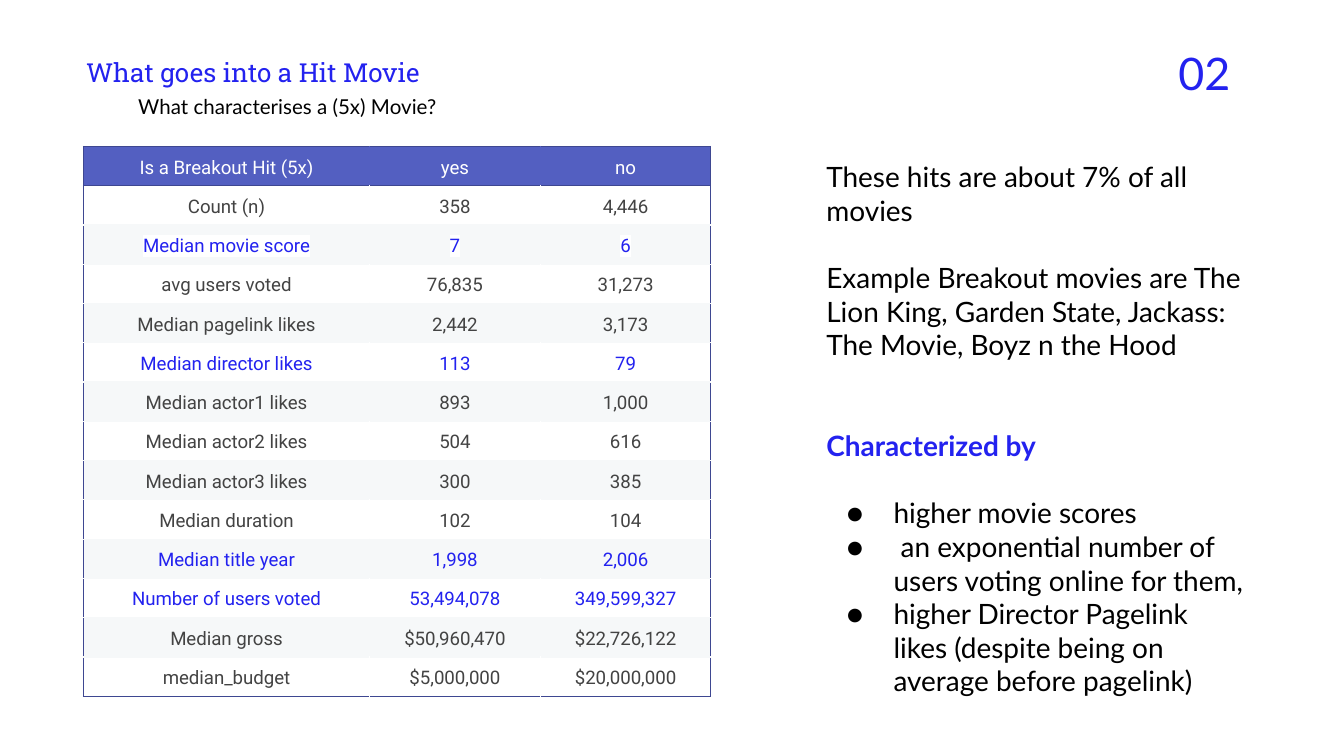
from dataclasses import dataclass

from lxml.etree import SubElement
from pptx import Presentation
from pptx.dml.color import RGBColor
from pptx.enum.text import MSO_ANCHOR, MSO_AUTO_SIZE, PP_ALIGN
from pptx.oxml.ns import qn
from pptx.util import Inches, Pt


@dataclass(frozen=True)
class Theme:
    blue: str = "2322EF"
    black: str = "000000"
    gray: str = "434343"
    white: str = "FFFFFF"
    stripe: str = "F6F8F9"
    head: str = "535FC1"
    edge: str = "3E4791"
    sans: str = "Lato"
    slab: str = "Roboto Slab"
    grid: str = "Roboto"
    cell_pt: int = 10
    sub_pt: int = 11
    title_pt: int = 14
    body_pt: int = 15
    num_pt: int = 24
    line_pt: float = 0.75


@dataclass(frozen=True)
class Row:
    label: str
    yes: str
    no: str
    key: bool = False
    mark: bool = False


@dataclass(frozen=True)
class Para:
    text: str
    gap: int = 0
    head: bool = False
    bullet: bool = False


T = Theme()

ROWS = [
    Row("Is a Breakout Hit (5x)", "yes", "no"),
    Row("Count (n)", "358", "4,446"),
    Row("Median movie score", "7", "6", key=True, mark=True),
    Row("avg users voted", "76,835", "31,273"),
    Row("Median pagelink likes", "2,442", "3,173"),
    Row("Median director likes", "113", "79", key=True),
    Row("Median actor1 likes", "893", "1,000"),
    Row("Median actor2 likes", "504", "616"),
    Row("Median actor3 likes", "300", "385"),
    Row("Median duration", "102", "104"),
    Row("Median title year", "1,998", "2,006", key=True),
    Row("Number of users voted", "53,494,078", "349,599,327", key=True),
    Row("Median gross", "$50,960,470", "$22,726,122"),
    Row("median_budget", "$5,000,000", "$20,000,000"),
]

NOTES = [
    Para("These hits are about 7% of all movies"),
    Para("Example Breakout movies are The Lion King, Garden State, Jackass: "
         "The Movie, Boyz n the Hood", gap=18),
    Para("Characterized by", gap=36, head=True),
    Para("higher movie scores", gap=18, bullet=True),
    Para(" an exponential number of users voting online for them,", bullet=True),
    Para("higher Director Pagelink likes (despite being on average before pagelink)",
         bullet=True),
]


def style(para, name: str, size: int, color: str, bold: bool = False) -> None:
    font = para.font
    font.name, font.size, font.bold = name, Pt(size), bold
    font.color.rgb = RGBColor.from_string(color)


def setup(shape):
    """Give a text shape even insets, wrapping and a top anchor."""
    frame = shape.text_frame
    frame.word_wrap = True
    frame.auto_size = MSO_AUTO_SIZE.NONE
    frame.vertical_anchor = MSO_ANCHOR.TOP
    frame.margin_left = frame.margin_right = Inches(0.1)
    frame.margin_top = frame.margin_bottom = Inches(0.1)
    return frame


def add_box(slide, x: float, y: float, w: float, h: float):
    return setup(slide.shapes.add_textbox(Inches(x), Inches(y), Inches(w), Inches(h)))


def add_label(slide, box: tuple, text: str, size: int, color: str) -> None:
    frame = add_box(slide, *box)
    frame.text = text
    style(frame.paragraphs[0], T.sans, size, color)


def add_title(slide, text: str) -> None:
    title = slide.shapes.title
    title.left, title.top = Inches(0.54), Inches(0.32)
    title.width, title.height = Inches(3.93), Inches(0.37)
    frame = setup(title)
    frame.text = text
    para = frame.paragraphs[0]
    para.alignment = PP_ALIGN.LEFT
    style(para, T.slab, T.title_pt, T.blue)


def add_color(parent, tag: str, color: str) -> None:
    SubElement(SubElement(parent, qn(tag)), qn("a:srgbClr"), val=color)


def set_edges(cell, **edges: str) -> None:
    """Draw cell borders; edges must come in the order L, R, T, B."""
    props = cell._tc.get_or_add_tcPr()
    for side, color in edges.items():
        line = SubElement(props, qn(f"a:ln{side}"), w=str(Pt(T.line_pt)))
        add_color(line, "a:solidFill", color)


def fill_cell(cell, text: str, row: Row, r: int, c: int) -> None:
    last = len(ROWS) - 1
    fill = T.head if r == 0 else T.white if r % 2 else T.stripe
    color = T.white if r == 0 else T.blue if row.key else T.gray
    set_edges(
        cell,
        L=T.edge if c == 0 else fill,
        R=T.edge if c == 2 else fill,
        T=T.edge if r < 2 else T.stripe,
        B=T.edge if r in (0, last) else T.stripe,
    )
    cell.fill.solid()
    cell.fill.fore_color.rgb = RGBColor.from_string(fill)
    cell.vertical_anchor = MSO_ANCHOR.MIDDLE
    cell.margin_left = cell.margin_right = Inches(0.08)
    cell.margin_top = cell.margin_bottom = Inches(0.02)
    cell.text = text
    para = cell.text_frame.paragraphs[0]
    para.alignment, para.line_spacing = PP_ALIGN.CENTER, 1.15
    style(para, T.grid, T.cell_pt, color)
    if row.mark:
        add_color(para.runs[0]._r.get_or_add_rPr(), "a:highlight", T.white)


def add_stats(slide) -> None:
    widths, height = (2.13, 1.27, 1.27), 4.09
    table = slide.shapes.add_table(
        len(ROWS), len(widths), Inches(0.62), Inches(1.09),
        Inches(sum(widths)), Inches(height)).table
    table.first_row = table.horz_banding = False
    for col, width in zip(table.columns, widths):
        col.width = Inches(width)
    for r, row in enumerate(ROWS):
        table.rows[r].height = Inches(height / len(ROWS))
        for c, text in enumerate((row.label, row.yes, row.no)):
            fill_cell(table.cell(r, c), text, row, r, c)


def add_bullet(para) -> None:
    props = para._p.get_or_add_pPr()
    props.set("marL", str(Inches(0.5)))
    props.set("indent", str(Inches(-0.35)))
    add_color(props, "a:buClr", T.black)
    SubElement(props, qn("a:buFont"), typeface=T.sans)
    SubElement(props, qn("a:buChar"), char="●")


def add_notes(slide) -> None:
    frame = add_box(slide, 6.05, 1.09, 3.31, 4.2)
    for i, note in enumerate(NOTES):
        para = frame.add_paragraph() if i else frame.paragraphs[0]
        para.text = note.text
        para.space_before = Pt(note.gap)
        if note.bullet:
            add_bullet(para)
        style(para, T.sans, T.body_pt, T.blue if note.head else T.black, note.head)


def main() -> None:
    deck = Presentation()
    deck.slide_width = Inches(10)
    deck.slide_height = deck.slide_width * 9 // 16
    slide = deck.slides.add_slide(deck.slide_layouts[5])
    add_label(slide, (0.93, 0.6, 5.33, 0.41), "What characterises a (5x) Movie?",
              T.sub_pt, T.black)
    add_title(slide, "What goes into a Hit Movie")
    add_label(slide, (8.67, 0.24, 1.01, 0.52), "02", T.num_pt, T.blue)
    add_stats(slide)
    add_notes(slide)
    deck.save("out.pptx")


if __name__ == "__main__":
    main()
